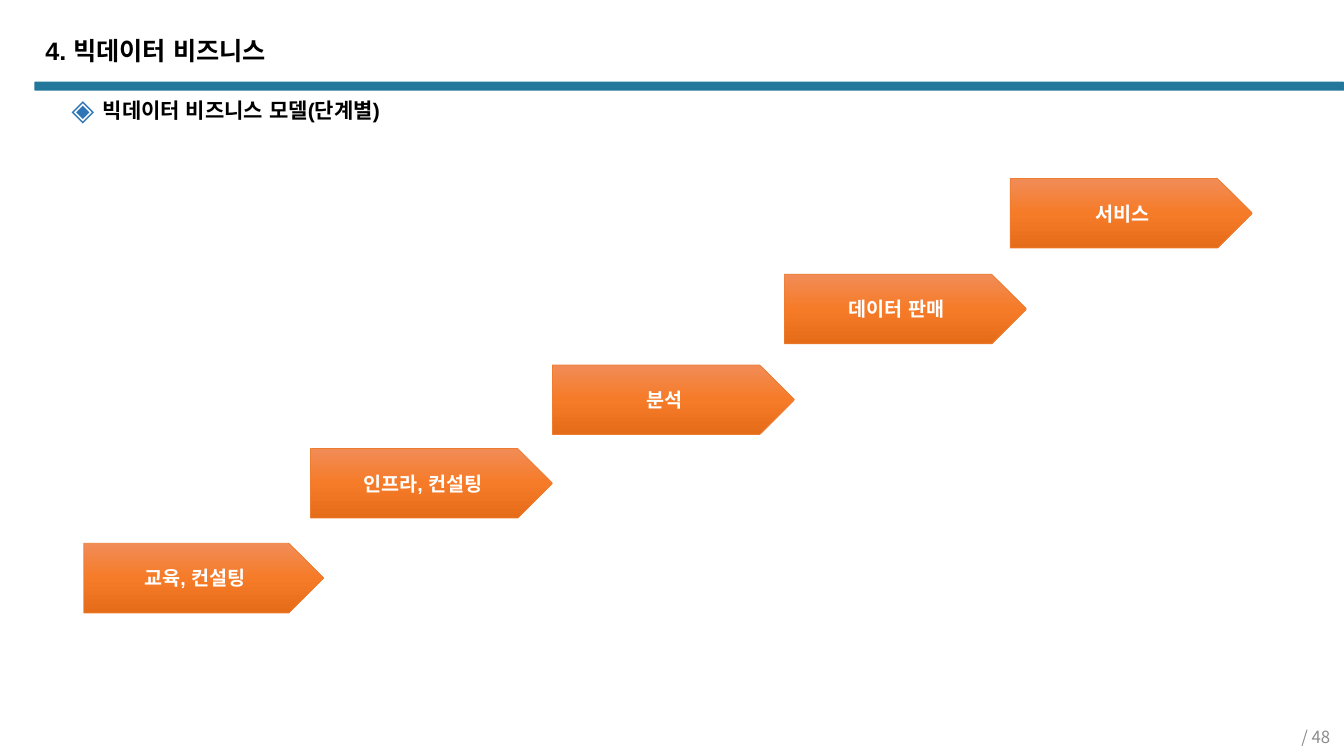
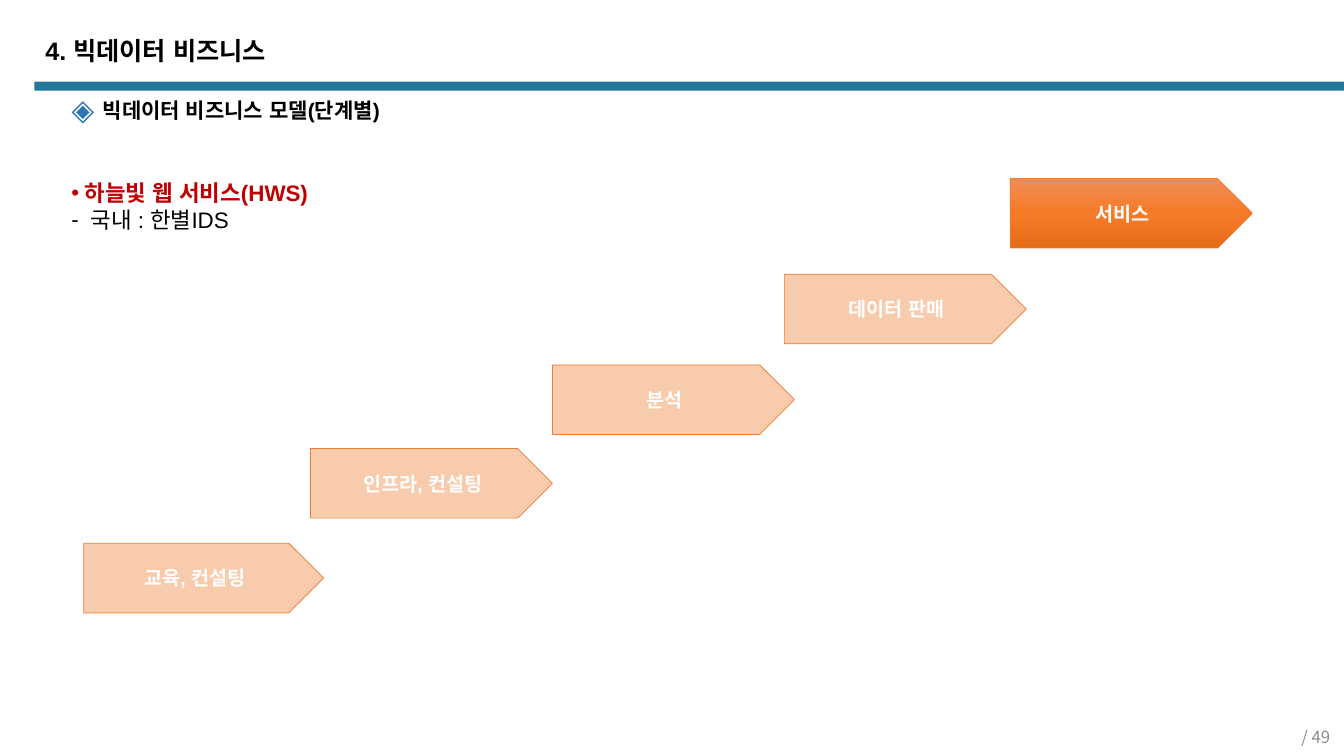
from copy import deepcopy
from dataclasses import dataclass

from pptx import Presentation
from pptx.dml.color import RGBColor
from pptx.enum.lang import MSO_LANGUAGE_ID
from pptx.enum.shapes import MSO_SHAPE
from pptx.enum.text import MSO_ANCHOR, MSO_AUTO_SIZE, PP_ALIGN
from pptx.oxml.ns import qn
from pptx.util import Inches, Pt

TITLE = "4. 빅데이터 비즈니스"
HEADING = "빅데이터 비즈니스 모델(단계별)"
# label, left, top, width
STEPS = [
    ("교육, 컨설팅", 0.83, 5.39, 2.38),
    ("인프라, 컨설팅", 3.08, 4.45, 2.4),
    ("분석", 5.48, 3.62, 2.4),
    ("데이터 판매", 7.78, 2.72, 2.4),
    ("서비스", 10.02, 1.77, 2.4),
]
ALL_STEPS = {label for label, *_ in STEPS}
SLIDES = [
    {"page": "/ 48 ", "active": ALL_STEPS, "notes": []},
    {"page": "/ 49 ", "active": {"서비스"}, "notes": [
        # bullet, indent, text, colour name, bold
        ("•", 0.13, "하늘빛 웹 서비스(HWS)", "accent", True),
        ("-", 0.19, "국내 : 한별IDS", "text", False),
    ]},
]


@dataclass(frozen=True)
class Theme:
    latin: str = "Arial"
    korean: str = "Noto Sans CJK KR"
    text: str = "000000"
    accent: str = "C00000"
    band: str = "22779B"
    marker: str = "2E75B6"
    page: str = "8C8C8C"
    label: str = "FFFFFF"
    outline: str = "ED7D31"
    faded: str = "F8CBAD"
    glow: tuple = ("F18C57", "F67B28", "E56C19")
    title_size: int = 18
    heading_size: int = 15
    step_size: int = 14
    note_size: int = 16
    page_size: int = 12


T = Theme()


def rgb(value):
    return RGBColor.from_string(value)


def add_run(p, text, size, color, bold=False, latin=T.latin):
    r = p.add_run()
    r.text = text
    font = r.font
    font.size, font.bold = Pt(size), bold
    font.color.rgb = rgb(color)
    font.name = latin
    font.language_id = MSO_LANGUAGE_ID.KOREAN
    ea = r._r.rPr.makeelement(qn("a:ea"), {"typeface": T.korean})
    r._r.rPr.find(qn("a:latin")).addnext(ea)


def set_bullet(p, char, indent, color=None, percent=None):
    pPr = p._p.get_or_add_pPr()
    pPr.set("marL", str(Inches(indent)))
    pPr.set("indent", str(-Inches(indent)))

    def add(parent, tag, **attrs):
        child = parent.makeelement(qn(tag), attrs)
        parent.append(child)
        return child

    if color:
        add(add(pPr, "a:buClr"), "a:srgbClr", val=color)
    if percent:
        add(pPr, "a:buSzPct", val=str(percent * 1000))
    add(pPr, "a:buFont", typeface=T.latin)
    add(pPr, "a:buChar", char=char)


def set_insets(tf, x, y):
    tf.margin_left = tf.margin_right = Inches(x)
    tf.margin_top = tf.margin_bottom = Inches(y)


def place(shape, left, top, width, height):
    shape.left, shape.top = Inches(left), Inches(top)
    shape.width, shape.height = Inches(width), Inches(height)


def add_preset(s, preset, left, top, width, height):
    sp = s.shapes.add_shape(preset, Inches(left), Inches(top),
                            Inches(width), Inches(height))
    sp.shadow.inherit = False
    return sp


def add_text_box(s, left, top, width, height):
    tf = s.shapes.add_textbox(Inches(left), Inches(top),
                              Inches(width), Inches(height)).text_frame
    tf.word_wrap = True
    return tf


def prepare_layout(prs, layout):
    """Place the placeholders and put the band on the layout."""
    title, body = layout.placeholders[0], layout.placeholders[1]
    place(title, 0.35, 0.33, 7.9, 0.47)
    place(body, 0.71, 0.97, 8.78, 0.25)


def move_band_to_layout(s):
    band = add_preset(s, MSO_SHAPE.ROUNDED_RECTANGLE, 0.34, 0.81, 12.99, 0.09)
    band.adjustments[0] = 0.13
    band.fill.solid()
    band.fill.fore_color.rgb = rgb(T.band)
    band.line.fill.background()
    band._element.nvSpPr.cNvPr.set("id", "20")
    s.slide_layout.shapes._spTree.append(band._element)


def fill_header(s, page):
    tf = s.shapes.title.text_frame
    tf.vertical_anchor = MSO_ANCHOR.TOP
    tf.auto_size = MSO_AUTO_SIZE.NONE
    p = tf.paragraphs[0]
    p.alignment, p.line_spacing = PP_ALIGN.LEFT, 0.9
    add_run(p, TITLE, T.title_size, T.text, True)

    tf = s.placeholders[1].text_frame
    set_insets(tf, 0, 0)
    tf.auto_size = MSO_AUTO_SIZE.NONE
    p = tf.paragraphs[0]
    p.space_before = Pt(0)
    set_bullet(p, "◈", 0.31, T.marker, 140)
    add_run(p, HEADING, T.heading_size, T.text, True)

    tf = add_text_box(s, 10.22, 7.19, 3.11, 0.23)
    tf.vertical_anchor = MSO_ANCHOR.MIDDLE
    p = tf.paragraphs[0]
    p.alignment = PP_ALIGN.RIGHT
    add_run(p, page, T.page_size, T.page, latin=T.korean)


def fill_gradient(sp, colors):
    sp.fill.gradient()
    sp.fill.gradient_angle = 270
    stops = sp._element.spPr.find(".//" + qn("a:gsLst"))
    while len(stops) < len(colors):
        stops.append(deepcopy(stops[0]))
    for i, (stop, color) in enumerate(zip(sp.fill.gradient_stops, colors)):
        stop.position = i / (len(colors) - 1)
        stop.color.rgb = rgb(color)


def add_step(s, label, left, top, width, active):
    sp = add_preset(s, MSO_SHAPE.PENTAGON, left, top, width, 0.69)
    if active:
        fill_gradient(sp, T.glow)
    else:
        sp.fill.solid()
        sp.fill.fore_color.rgb = rgb(T.faded)
    sp.line.color.rgb = rgb(T.outline)
    sp.line.width = Pt(0.5)
    tf = sp.text_frame
    set_insets(tf, 0.1, 0)
    tf.vertical_anchor = MSO_ANCHOR.MIDDLE
    p = tf.paragraphs[0]
    p.alignment = PP_ALIGN.CENTER
    add_run(p, label, T.step_size, T.label, True)


def add_notes(s, notes):
    tf = add_text_box(s, 0.61, 1.73, 4.69, 0.64)
    for i, (char, indent, text, color, bold) in enumerate(notes):
        p = tf.add_paragraph() if i else tf.paragraphs[0]
        set_bullet(p, char, indent)
        add_run(p, text, T.note_size, getattr(T, color), bold)


def main():
    prs = Presentation()
    prs.slide_width, prs.slide_height = Inches(13.33), Inches(7.5)
    layout = prs.slide_layouts[1]
    prepare_layout(prs, layout)
    for i, content in enumerate(SLIDES):
        s = prs.slides.add_slide(layout)
        if i == 0:
            move_band_to_layout(s)
        fill_header(s, content["page"])
        for label, left, top, width in STEPS:
            add_step(s, label, left, top, width, label in content["active"])
        if content["notes"]:
            add_notes(s, content["notes"])
    prs.save("out.pptx")


if __name__ == "__main__":
    main()
